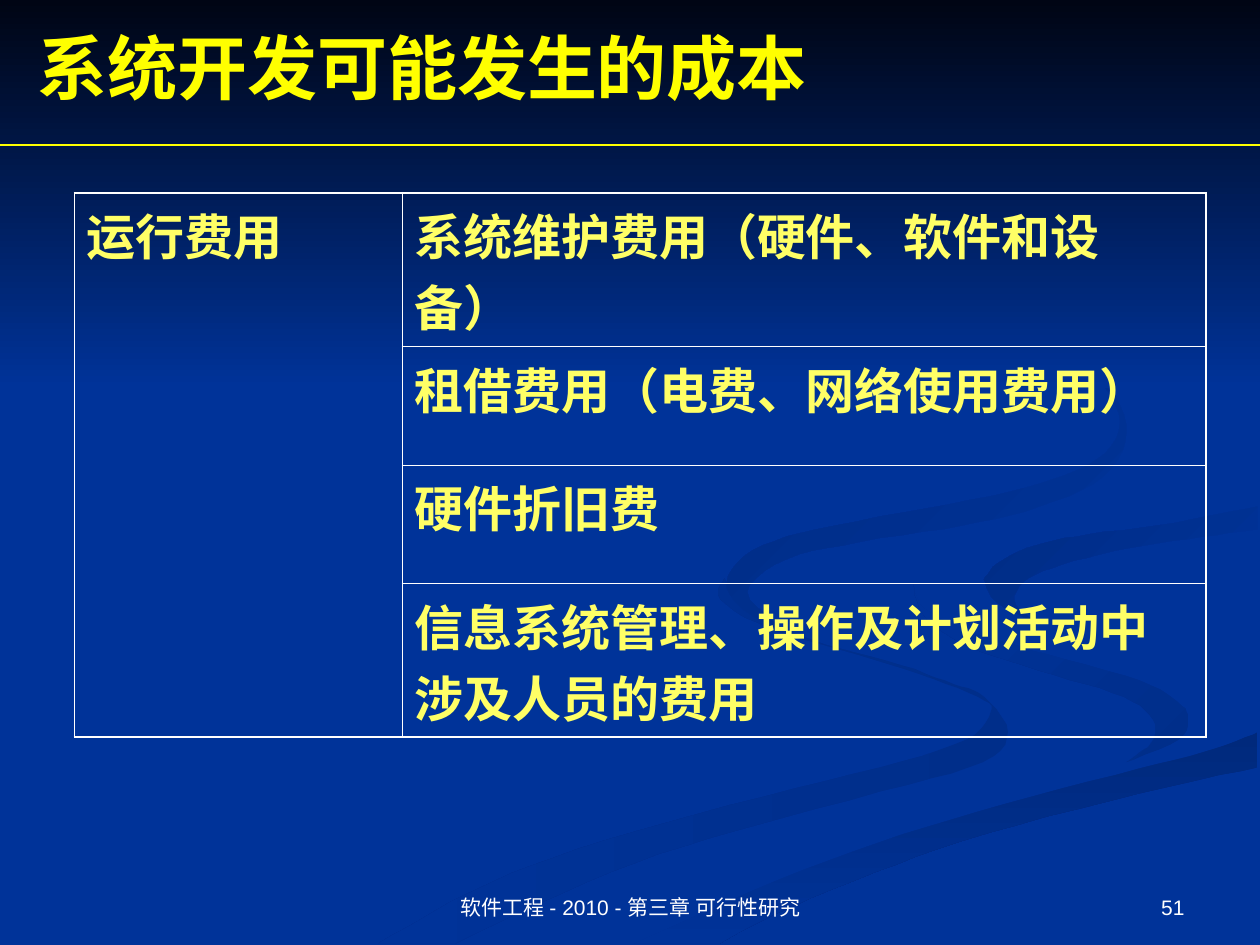
from lxml import etree
from pptx import Presentation
from pptx.dml.color import RGBColor
from pptx.enum.shapes import MSO_CONNECTOR, MSO_SHAPE
from pptx.enum.text import MSO_ANCHOR, PP_ALIGN
from pptx.oxml.ns import qn
from pptx.util import Inches, Pt

STRAIGHT = MSO_CONNECTOR.STRAIGHT
RECTANGLE = MSO_SHAPE.RECTANGLE
MIDDLE, BOTTOM = MSO_ANCHOR.MIDDLE, MSO_ANCHOR.BOTTOM
LEFT, CENTER, RIGHT = PP_ALIGN.LEFT, PP_ALIGN.CENTER, PP_ALIGN.RIGHT

BLUE, WHITE, YELLOW, PALE_YELLOW = "003399", "FFFFFF", "FFFF00", "FFFF66"
OUTER_BORDER, INNER_BORDER = Pt(1.08), Pt(0.45)
UNITS_PER_INCH = 100
CURVE_STEPS = 5

TITLE_FORMAT = {"name": "Times New Roman", "size": Pt(40), "bold": True}
CELL_FORMAT = {"name": "Times New Roman", "size": Pt(28), "bold": True}
FOOTER_FORMAT = {"name": "Arial", "size": Pt(12), "bold": False}

CATEGORY = "运行费用"
SHORT_ROW, TALL_ROW = 0.94, 1.22
COSTS = [
    ("系统维护费用（硬件、软件和设备）", TALL_ROW),
    ("租借费用（电费、网络使用费用）", SHORT_ROW),
    ("硬件折旧费", SHORT_ROW),
    ("信息系统管理、操作及计划活动中涉及人员的费用", TALL_ROW),
]
COLUMN_WIDTHS = [2.6, 6.38]

EDGES = {
    "left outer": [(5.75, 4.59), (5.87, 4.81), (6.42, 5.07), (7.15, 5.28),
                   (7.57, 5.43), (7.81, 5.53), (8, 5.81), (7.8, 6.05),
                   (6.99, 6.28), (5.64, 6.65), (4.66, 7), (3.61, 7.49)],
    "left inner": [(5.75, 4.59), (5.72, 4.76), (6.11, 4.99), (6.79, 5.19),
                   (7.41, 5.39), (7.81, 5.56), (7.86, 5.66), (7.67, 5.87),
                   (6.99, 6.09), (5.79, 6.39), (4.58, 6.74), (3.76, 7.07),
                   (3, 7.49)],
    "bend outer": [(7.25, 4.64), (7.34, 4.83), (7.75, 5.03), (8.31, 5.19),
                   (9.05, 5.4), (9.35, 5.57), (9.43, 5.7), (9.36, 5.87),
                   (8.94, 6.05)],
    "bend inner": [(7.25, 4.64), (7.33, 4.88), (7.66, 5.12), (8.38, 5.36),
                   (8.92, 5.53), (9.15, 5.71), (9.14, 5.89), (8.94, 6.05)],
    "main tail": [(8.94, 6.05), (8.13, 6.25), (7.04, 6.55), (6.19, 6.84),
                  (5.26, 7.24), (4.77, 7.49)],
    "bank top": [(5.03, 7.49), (5.99, 7.06), (6.96, 6.69), (7.97, 6.38),
                 (9.03, 6.1), (9.64, 5.94), (9.98, 5.81)],
    "bank bottom": [(5.71, 7.49), (6.14, 7.26), (6.95, 6.92), (7.85, 6.61),
                    (9.03, 6.3), (9.98, 6.09)],
    "main right": [(9.98, 5.38), (9.41, 5.27), (8.66, 5.09), (8.17, 4.92),
                   (7.86, 4.73), (7.81, 4.6)],
    "arm bottom": [(7.81, 4.6), (7.92, 4.47), (8.22, 4.33), (8.65, 4.24),
                   (9.33, 4.15), (9.98, 4.02)],
    "arm top": [(9.98, 3.87), (9.42, 3.99), (8.74, 4.08), (8.08, 4.17),
                (7.55, 4.32), (7.32, 4.46), (7.25, 4.64)],
    "arm tip": [(7.81, 4.6), (7.91, 4.78), (8.26, 4.96)],
    "arm shade": [(8.26, 4.96), (8.06, 4.8), (8.12, 4.62), (8.43, 4.48),
                  (8.96, 4.35), (9.54, 4.26), (9.98, 4.2)],
    "upper outer": [(7.62, 2.33), (7.99, 2.5), (8.43, 2.75), (8.8, 3.07),
                    (8.94, 3.44), (8.76, 3.78), (8.25, 4.02), (7.64, 4.17),
                    (6.83, 4.3), (6.24, 4.44), (5.93, 4.7), (6.22, 5)],
    "upper inner": [(7.62, 2.33), (8.26, 2.66), (8.7, 2.99), (8.89, 3.35),
                    (8.7, 3.65), (8.18, 3.86), (7.33, 4.04), (6.49, 4.2),
                    (5.97, 4.37), (5.77, 4.62), (5.9, 4.84), (6.22, 5)],
}
STREAMS = [
    (["left outer", "left inner"], "002E8A", BLUE, 180),
    (["bend outer", "bend inner"], "002E8A", BLUE, 135),
    (["bank top", "bank bottom"], "00297C", BLUE, 270),
    (["bend outer", "main tail", "bank top", "main right", "arm bottom",
      "arm top"], BLUE, BLUE, 0),
    (["arm bottom", "arm tip", "arm shade"], BLUE, "002C85", 135),
    (["upper outer", "upper inner"], BLUE, "002B81", 135),
]


def color(value):
    return RGBColor.from_string(value)


def spline(before, start, end, after, t):
    return (start + t * (end - before) / 2
            + t**2 * (2 * before - 5 * start + 4 * end - after) / 2
            + t**3 * (3 * start - before - 3 * end + after) / 2)


def smooth(points):
    padded = [points[0], *points, points[-1]]
    curve = [
        tuple(spline(*axis, step / CURVE_STEPS) for axis in zip(*window))
        for window in zip(padded, padded[1:], padded[2:], padded[3:])
        for step in range(CURVE_STEPS)
    ]
    return curve + [points[-1]]


def squared_distance(first, second):
    return sum((a - b) ** 2 for a, b in zip(first, second))


def join_edges(names):
    outline = smooth(EDGES[names[0]])
    if names[0] == "arm bottom":
        outline.reverse()
    for name in names[1:]:
        edge = smooth(EDGES[name])
        end = outline[-1]
        if squared_distance(end, edge[-1]) < squared_distance(end, edge[0]):
            edge.reverse()
        outline += edge
    return [(x * UNITS_PER_INCH, y * UNITS_PER_INCH) for x, y in outline]


def fill_gradient(shape, start, end, angle):
    shape.shadow.inherit = False
    shape.line.fill.background()
    shape.fill.gradient()
    shape.fill.gradient_angle = angle
    for stop, value in zip(shape.fill.gradient_stops, (start, end)):
        stop.color.rgb = color(value)


def add_stream(slide, edge_names, start, end, angle):
    first, *others = join_edges(edge_names)
    scale = Inches(1) / UNITS_PER_INCH
    builder = slide.shapes.build_freeform(*first, scale=scale)
    builder.add_line_segments(others, close=True)
    fill_gradient(builder.convert_to_shape(), start, end, angle)


def add_sky(slide, width):
    shape = slide.shapes.add_shape(RECTANGLE, 0, 0, width, Inches(3.08))
    fill_gradient(shape, "000514", BLUE, 270)


def write_text(frame, text, format_values, text_color, alignment=LEFT):
    frame.word_wrap = True
    paragraph = frame.paragraphs[0]
    paragraph.alignment = alignment
    run = paragraph.add_run()
    run.text = text
    for name, value in format_values.items():
        setattr(run.font, name, value)
    run.font.color.rgb = color(text_color)


def add_text(slide, box, text, format_values, text_color, alignment, anchor):
    shape = slide.shapes.add_textbox(*map(Inches, box))
    shape.text_frame.vertical_anchor = anchor
    write_text(shape.text_frame, text, format_values, text_color, alignment)


def add_rule(slide, width):
    top = Inches(1.15)
    line = slide.shapes.add_connector(STRAIGHT, 0, top, width, top)
    line.line.color.rgb = color(YELLOW)
    line.line.width = Pt(0.75)
    etree.SubElement(line._element.spPr, qn("a:effectLst"))


def style_cell(cell, text, outer_sides):
    write_text(cell.text_frame, text, CELL_FORMAT, PALE_YELLOW)
    properties = cell._tc.get_or_add_tcPr()
    for side in "LRTB":
        width = OUTER_BORDER if side in outer_sides else INNER_BORDER
        line = etree.SubElement(properties, qn(f"a:ln{side}"), w=str(width))
        fill = etree.SubElement(line, qn("a:solidFill"))
        etree.SubElement(fill, qn("a:srgbClr"), val=WHITE)
    cell.fill.background()


def add_cost_table(slide):
    height = sum(row_height for _, row_height in COSTS)
    box = (0.59, 1.53, sum(COLUMN_WIDTHS), height)
    table = slide.shapes.add_table(len(COSTS), 2, *map(Inches, box)).table
    table.first_row = table.horz_banding = False
    for column, width in zip(table.columns, COLUMN_WIDTHS):
        column.width = Inches(width)
    last = len(COSTS) - 1
    table.cell(0, 0).merge(table.cell(last, 0))
    style_cell(table.cell(0, 0), CATEGORY, "LTB")
    for index, (cost, row_height) in enumerate(COSTS):
        table.rows[index].height = Inches(row_height)
        outer_sides = "R" + "T" * (index == 0) + "B" * (index == last)
        style_cell(table.cell(index, 1), cost, outer_sides)
        table.cell(index, 0).fill.background()


def main():
    presentation = Presentation()
    presentation.slide_width, presentation.slide_height = Inches(10), Inches(7.5)
    slide = presentation.slides.add_slide(presentation.slide_layouts[6])
    slide.background.fill.solid()
    slide.background.fill.fore_color.rgb = color(BLUE)
    for stream in STREAMS:
        add_stream(slide, *stream)
    add_sky(slide, presentation.slide_width)
    add_text(slide, (0.2, 0.14, 9, 0.77), "系统开发可能发生的成本",
             TITLE_FORMAT, YELLOW, LEFT, MIDDLE)
    add_rule(slide, presentation.slide_width)
    add_cost_table(slide)
    add_text(slide, (3.42, 6.83, 3.17, 0.52), "软件工程 - 2010 - 第三章 可行性研究",
             FOOTER_FORMAT, WHITE, CENTER, BOTTOM)
    add_text(slide, (7.17, 6.83, 2.33, 0.52), "51",
             FOOTER_FORMAT, WHITE, RIGHT, BOTTOM)
    presentation.save("out.pptx")


if __name__ == "__main__":
    main()
